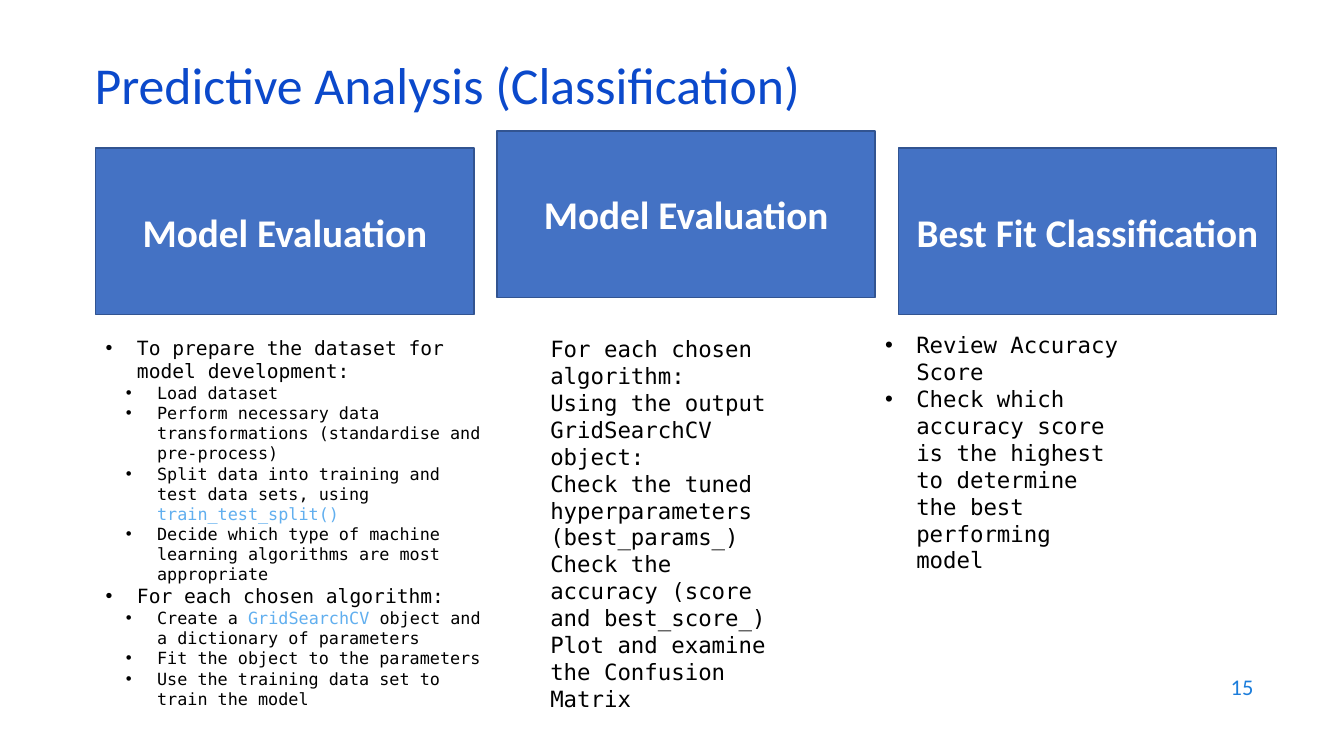
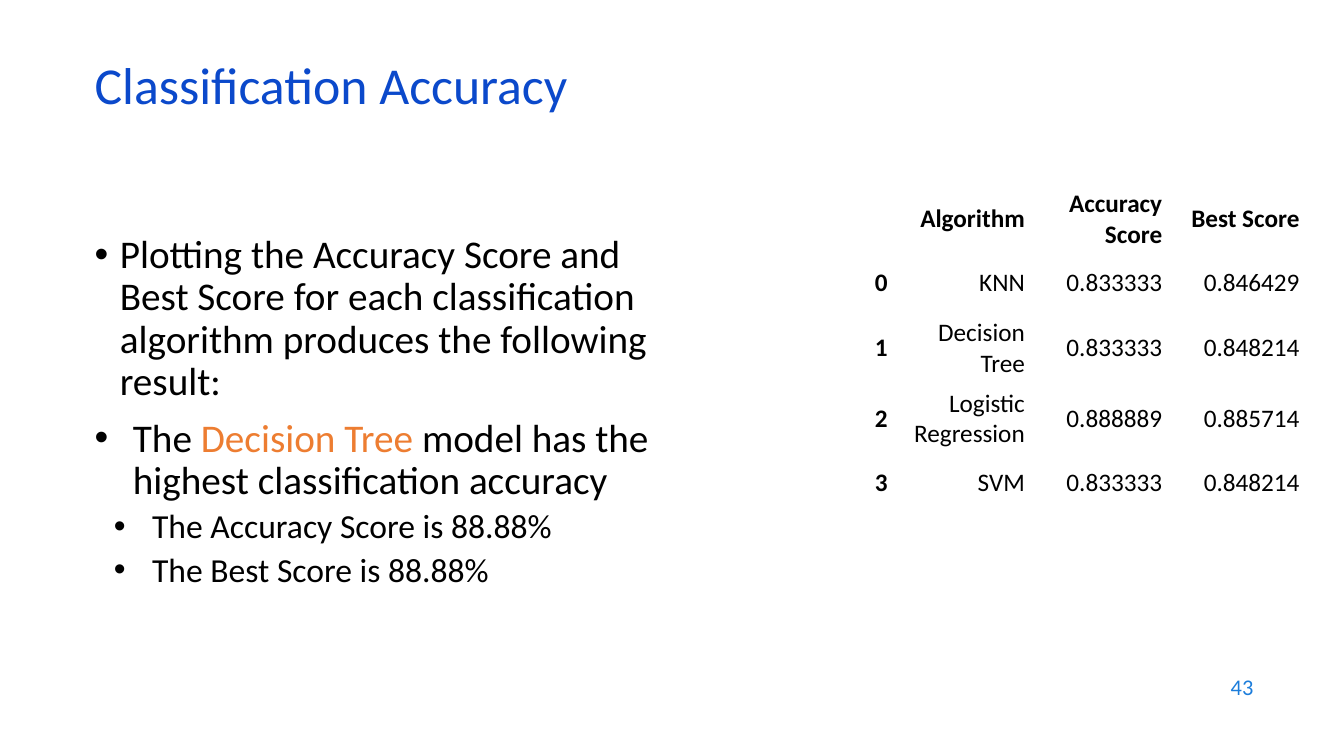
from dataclasses import dataclass

from lxml.etree import SubElement
from pptx import Presentation
from pptx.dml.color import RGBColor
from pptx.enum.shapes import MSO_SHAPE
from pptx.enum.text import MSO_ANCHOR, PP_ALIGN
from pptx.oxml.ns import qn
from pptx.util import Inches, Pt


@dataclass(frozen=True)
class Theme:
    sans: str = "Calibri"
    mono: str = "DejaVu Sans Mono"
    bullet_font: str = "Arial"
    title: str = "0B49CB"
    number: str = "1C7DDB"
    ink: str = "000000"
    paper: str = "FFFFFF"
    card: str = "4472C4"
    card_line: str = "325491"
    code: str = "61AFEF"
    accent: str = "ED7D31"
    title_size: int = 37
    number_size: int = 16
    card_size: int = 28
    table_size: int = 18


THEME = Theme()
WIDTH, HEIGHT = 13.33, 7.5

# Content: a paragraph is (level, spans); a span is text or (text, colour)
STEPS = {
    "title": "Predictive Analysis (Classification)",
    "number": "15",
    "cards": ["Model Evaluation", "Model Evaluation", "Best Fit Classification"],
    "prepare": [
        (0, ["To prepare the dataset for model development:"]),
        (1, ["Load dataset"]),
        (1, ["Perform necessary data transformations (standardise and pre-process)"]),
        (1, ["Split data into training and test data sets, using ",
             ("train_test_split()", THEME.code)]),
        (1, ["Decide which type of machine learning algorithms are most appropriate"]),
        (0, ["For each chosen algorithm:"]),
        (1, ["Create a ", ("GridSearchCV", THEME.code),
             " object and a dictionary of parameters"]),
        (1, ["Fit the object to the parameters"]),
        (1, ["Use the training data set to train the model"]),
    ],
    "evaluate": [
        (0, ["For each chosen algorithm:"]),
        (0, ["Using the output GridSearchCV object:"]),
        (0, ["Check the tuned hyperparameters (best_params_)"]),
        (0, ["Check the accuracy (score and best_score_)"]),
        (0, ["Plot and examine the Confusion Matrix"]),
    ],
    "choose": [
        (0, ["Review Accuracy Score"]),
        (0, ["Check which accuracy score is the highest to determine "
             "the best performing model"]),
    ],
}
ACCURACY = {
    "title": "Classification Accuracy",
    "number": "43",
    "findings": [
        (0, ["Plotting the Accuracy Score and Best Score for each classification "
             "algorithm produces the following result:"]),
        (0, ["The ", ("Decision Tree ", THEME.accent),
             "model has the highest classification accuracy"]),
        (1, ["The Accuracy Score is 88.88%"]),
        (1, ["The Best Score is 88.88%"]),
    ],
    "scores": [
        ("", "Algorithm", "Accuracy Score", "Best Score"),
        ("0", "KNN", "0.833333", "0.846429"),
        ("1", "Decision Tree", "0.833333", "0.848214"),
        ("2", "Logistic Regression", "0.888889", "0.885714"),
        ("3", "SVM", "0.833333", "0.848214"),
    ],
}


def inches(*lengths):
    return [Inches(length) for length in lengths]


def add_span(para, text, size, colour, font=THEME.sans, bold=False):
    span = para.add_run()
    span.text = text
    span.font.name = font
    span.font.size = Pt(size)
    span.font.bold = bold
    span.font.color.rgb = RGBColor.from_string(colour)


def add_bullet(para, left, hang):
    properties = para._p.get_or_add_pPr()
    properties.set("marL", str(Inches(left)))
    properties.set("indent", str(-Inches(hang)))
    SubElement(properties, qn("a:buFont"), typeface=THEME.bullet_font)
    SubElement(properties, qn("a:buChar"), char="•")


def add_box(page, at, anchor=MSO_ANCHOR.TOP):
    frame = page.shapes.add_textbox(*inches(*at)).text_frame
    frame.word_wrap = True
    frame.vertical_anchor = anchor
    return frame


def add_list(page, at, items, sizes, font=THEME.sans, indents=None,
             spacing=1.0, before=(0, 0)):
    """Sizes and space before go by level; indents hold (left, hang) by item."""
    frame = add_box(page, at)
    for index, (level, spans) in enumerate(items):
        para = frame.add_paragraph() if index else frame.paragraphs[0]
        para.level = level
        if indents:
            add_bullet(para, *indents[index])
        para.line_spacing = spacing
        para.space_before = Pt(before[level] if index else 0)
        for span in spans:
            text, colour = (span, THEME.ink) if isinstance(span, str) else span
            add_span(para, text, sizes[level], colour, font)


def add_page(deck, content):
    page = deck.slides.add_slide(deck.slide_layouts[6])
    # Title
    para = add_box(page, (0.84, 0.59, 11.5, 0.6), MSO_ANCHOR.MIDDLE).paragraphs[0]
    para.line_spacing = 0.8
    add_span(para, content["title"], THEME.title_size, THEME.title)
    # Page number
    para = add_box(page, (9.53, 6.59, 3, 0.44), MSO_ANCHOR.MIDDLE).paragraphs[0]
    para.alignment = PP_ALIGN.RIGHT
    add_span(para, content["number"], THEME.number_size, THEME.number)
    return page


def add_card(page, at, label):
    card = page.shapes.add_shape(MSO_SHAPE.RECTANGLE, *inches(*at))
    card.shadow.inherit = False
    card.fill.solid()
    card.fill.fore_color.rgb = RGBColor.from_string(THEME.card)
    card.line.color.rgb = RGBColor.from_string(THEME.card_line)
    card.line.width = Pt(1)
    card.text_frame.word_wrap = True
    card.text_frame.vertical_anchor = MSO_ANCHOR.MIDDLE
    para = card.text_frame.paragraphs[0]
    para.alignment = PP_ALIGN.CENTER
    add_span(para, label, THEME.card_size, THEME.paper, bold=True)


def add_score_table(page, at, rows):
    table = page.shapes.add_table(len(rows), len(rows[0]), *inches(*at)).table
    table.first_row = table.horz_banding = False
    for row_index, row in enumerate(rows):
        for column_index, text in enumerate(row):
            cell = table.cell(row_index, column_index)
            cell.fill.solid()
            cell.fill.fore_color.rgb = RGBColor.from_string(THEME.paper)
            cell.vertical_anchor = MSO_ANCHOR.MIDDLE
            if text:
                para = cell.text_frame.paragraphs[0]
                para.alignment = PP_ALIGN.RIGHT
                heading = row_index == 0 or column_index == 0
                add_span(para, text, THEME.table_size, THEME.ink, bold=heading)


def build_steps(deck):
    page = add_page(deck, STEPS)
    # Heading cards, the middle one raised
    left, top, width, height, gap, rise = 0.95, 1.47, 3.75, 1.65, 0.23, 0.17
    for column, label in enumerate(STEPS["cards"]):
        card_top = top - rise if column == 1 else top
        add_card(page, (left + column * (width + gap), card_top, width, height), label)
    # Notes under the cards
    by_level = [(0.31, 0.31), (0.51, 0.31)]
    add_list(page, (left, 3.28, width + gap, 3.84), STEPS["prepare"], (14, 12),
             THEME.mono, [by_level[level] for level, _ in STEPS["prepare"]])
    add_list(page, (5.36, 3.28, 2.37, 3.87), STEPS["evaluate"], (16,), THEME.mono)
    add_list(page, (8.68, 3.24, 2.53, 2.52), STEPS["choose"], (16,),
             THEME.mono, by_level[:1] * len(STEPS["choose"]))


def build_accuracy(deck):
    page = add_page(deck, ACCURACY)
    # Findings
    add_list(page, (0.84, 2.28, 5.82, 4.17), ACCURACY["findings"], (28, 24),
             indents=[(0.25, 0.25), (0.38, 0.38), (0.57, 0.38), (0.57, 0.38)],
             spacing=0.9, before=(10, 5))
    # Scores: five equal rows that grow with wrapped text
    rows = ACCURACY["scores"]
    add_score_table(page, (7.54, 1.82, 5.45, 0.58 * len(rows)), rows)


def main():
    deck = Presentation()
    deck.slide_width, deck.slide_height = inches(WIDTH, HEIGHT)
    build_steps(deck)
    build_accuracy(deck)
    deck.save("out.pptx")


if __name__ == "__main__":
    main()
